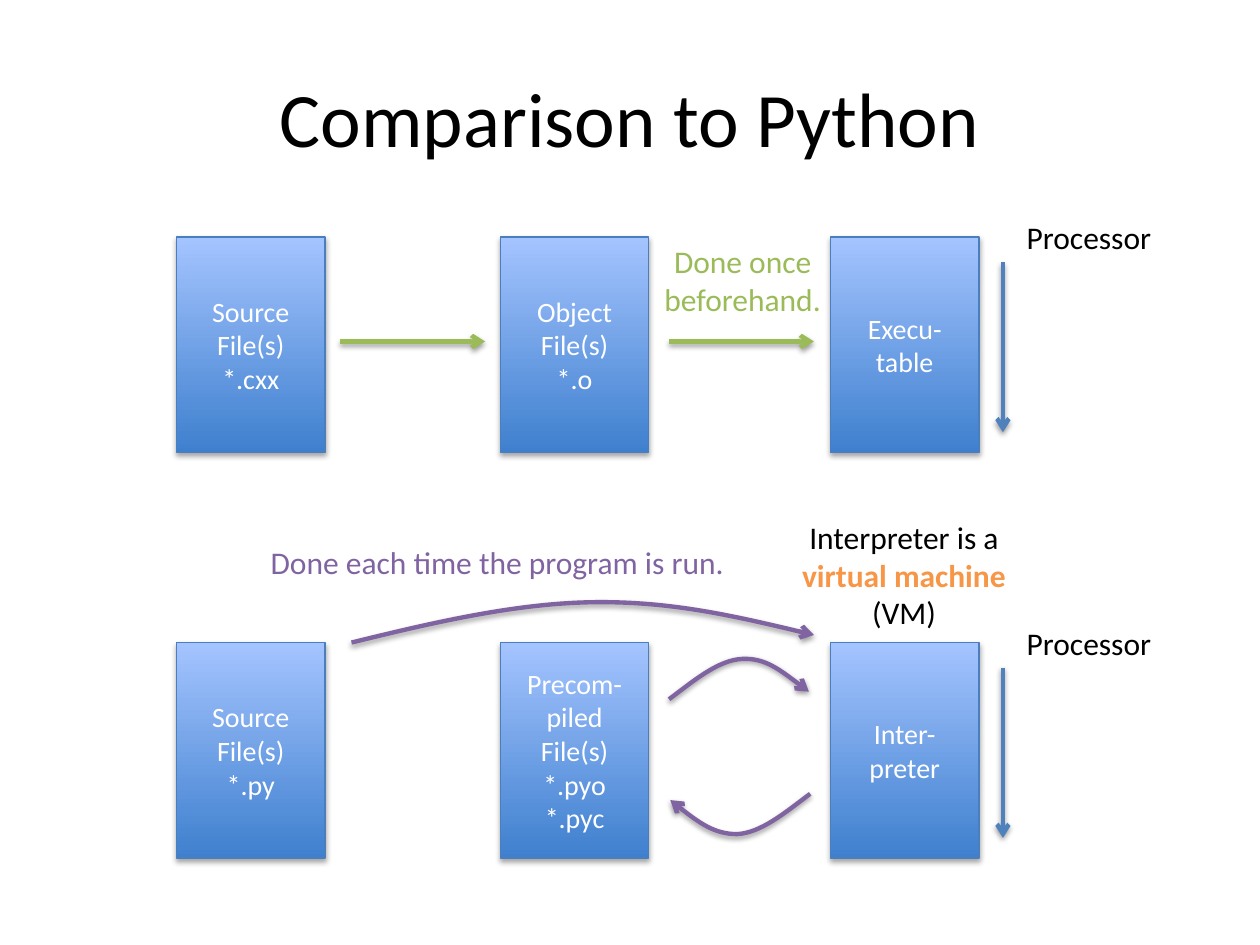
from lxml import etree
from pptx import Presentation
from pptx.dml.color import RGBColor
from pptx.enum.shapes import MSO_CONNECTOR, MSO_SHAPE
from pptx.enum.text import MSO_ANCHOR, MSO_AUTO_SIZE, PP_ALIGN
from pptx.oxml.ns import qn
from pptx.util import Inches, Pt

RECTANGLE = MSO_SHAPE.RECTANGLE
STRAIGHT = MSO_CONNECTOR.STRAIGHT
MIDDLE = MSO_ANCHOR.MIDDLE
GROW, FIXED = MSO_AUTO_SIZE.SHAPE_TO_FIT_TEXT, MSO_AUTO_SIZE.NONE
LEFT, CENTER = PP_ALIGN.LEFT, PP_ALIGN.CENTER

BLACK = RGBColor(0x00, 0x00, 0x00)
WHITE = RGBColor(0xFF, 0xFF, 0xFF)
BOX_BOTTOM = RGBColor(0x3F, 0x80, 0xCE)
BOX_TOP = RGBColor(0xA4, 0xC4, 0xFF)
BOX_EDGE = RGBColor(0x4B, 0x7E, 0xBC)
BLUE = RGBColor(0x4F, 0x81, 0xBD)
GREEN = RGBColor(0x9B, 0xBB, 0x59)
PURPLE = RGBColor(0x80, 0x64, 0xA2)
ORANGE = RGBColor(0xF7, 0x96, 0x46)
FONT = "Calibri"

# Grid in inches: three columns of boxes, one row per language
COLUMNS = (1.4, 3.97, 6.59)
COMPILED_ROW, PYTHON_ROW = 1.88, 5.1
BOX_W, BOX_H = 1.18, 1.71
PROCESSOR_X = 7.96


def add_shadow(shape, opacity, distance):
    """Soft shadow straight below; call after fill and line are set."""
    effects = etree.SubElement(shape._element.spPr, qn("a:effectLst"))
    shadow = etree.SubElement(effects, qn("a:outerShdw"), blurRad=str(Pt(3.1)),
                              dist=str(Pt(distance)), dir="5400000", rotWithShape="0")
    black = etree.SubElement(shadow, qn("a:srgbClr"), val="000000")
    etree.SubElement(black, qn("a:alpha"), val=str(opacity * 1000))


def style_paragraph(paragraph, size, color, align):
    paragraph.alignment = align
    paragraph.font.name = FONT
    paragraph.font.size = Pt(size)
    paragraph.font.color.rgb = color


def add_file_box(slide, column, top, lines):
    box = slide.shapes.add_shape(RECTANGLE, Inches(COLUMNS[column]), Inches(top),
                                 Inches(BOX_W), Inches(BOX_H))
    box.fill.gradient()
    box.fill.gradient_angle = 90
    for stop, color in zip(box.fill.gradient_stops, (BOX_BOTTOM, BOX_TOP)):
        stop.color.rgb = color
    box.line.color.rgb = BOX_EDGE
    box.line.width = Pt(0.75)
    add_shadow(box, 35, 1.8)
    frame = box.text_frame
    frame.word_wrap = True
    frame.vertical_anchor = MIDDLE
    frame.text = "\n".join(lines)
    for paragraph in frame.paragraphs:
        style_paragraph(paragraph, 16, WHITE, CENTER)


def add_label(slide, at, runs, color, size=18, align=CENTER, wrap=True):
    """Each run is (text, accent colour or None); accents are bold."""
    label = slide.shapes.add_textbox(*(Inches(length) for length in at))
    frame = label.text_frame
    frame.word_wrap = wrap
    frame.auto_size = GROW
    paragraph = frame.paragraphs[0]
    style_paragraph(paragraph, size, color, align)
    for text, accent in runs:
        run = paragraph.add_run()
        run.text = text
        if accent is not None:
            run.font.bold = True
            run.font.color.rgb = accent
    return label


def finish_arrow(arrow, color):
    arrow.line.color.rgb = color
    arrow.line.width = Pt(2.5)
    etree.SubElement(arrow.line._get_or_add_ln(), qn("a:tailEnd"), type="arrow")
    add_shadow(arrow, 38, 1.6)


def add_arrow(slide, start, end, color):
    arrow = slide.shapes.add_connector(STRAIGHT, *(Inches(v) for v in start + end))
    finish_arrow(arrow, color)


def add_curved_arrow(slide, points, color):
    """Start point, then three points (two controls, one end) per Bézier piece."""
    start, *rest = [(Inches(x), Inches(y)) for x, y in points]
    builder = slide.shapes.build_freeform(*start)
    builder.add_line_segments(rest, close=False)
    curve = builder.convert_to_shape()
    path = curve._element.spPr.find(".//" + qn("a:path"))
    segments = path.findall(qn("a:lnTo"))
    for first in range(0, len(segments), 3):
        piece = etree.SubElement(path, qn("a:cubicBezTo"))
        for segment in segments[first:first + 3]:
            piece.append(segment[0])
            path.remove(segment)
    curve.fill.background()
    finish_arrow(curve, color)


def add_processor(slide, row):
    add_label(slide, (8.05, row - 0.2, 1.2, 0.4), [("Processor", None)], BLACK,
              align=LEFT, wrap=False)
    add_arrow(slide, (PROCESSOR_X, row + 0.2), (PROCESSOR_X, row + 1.55), BLUE)


def main():
    prs = Presentation()
    prs.slide_width, prs.slide_height = Inches(10), Inches(7.5)
    slide = prs.slides.add_slide(prs.slide_layouts[6])

    # Title
    title = add_label(slide, (0.5, 0.3, 9, 1.25), [("Comparison to Python", None)],
                      BLACK, size=44)
    title.text_frame.auto_size = FIXED
    title.text_frame.vertical_anchor = MIDDLE

    # Boxes of both workflows, and the processor beside each
    workflows = {
        COMPILED_ROW: (("Source File(s)", "*.cxx"), ("Object File(s)", "*.o"),
                       ("Execu-table",)),
        PYTHON_ROW: (("Source File(s)", "*.py"),
                     ("Precom-piled File(s)", "*.pyo", "*.pyc"), ("Inter-preter",)),
    }
    for row, boxes in workflows.items():
        for column, lines in enumerate(boxes):
            add_file_box(slide, column, row, lines)
        add_processor(slide, row)

    # Compiled workflow: straight steps
    for start in (2.7, 5.31):
        add_arrow(slide, (start, 2.71), (start + 1.15, 2.71), GREEN)

    # Python workflow: curved steps
    curves = (
        [(6.43, 6.3), (6.23, 6.45), (6.04, 6.61), (5.85, 6.62),
         (5.67, 6.62), (5.49, 6.49), (5.32, 6.35)],
        [(5.31, 5.55), (5.51, 5.4), (5.7, 5.24), (5.89, 5.23),
         (6.07, 5.22), (6.25, 5.36), (6.42, 5.49)],
        [(2.79, 5.1), (3.44, 4.94), (4.09, 4.79), (4.7, 4.78),
         (5.31, 4.77), (5.88, 4.9), (6.46, 5.04)],
    )
    for points in curves:
        add_curved_arrow(slide, points, PURPLE)

    # Remarks
    add_label(slide, (6.16, 4.06, 2.03, 1.01),
              [("Interpreter is a ", None), ("virtual machine", ORANGE), (" (VM)", None)],
              BLACK)
    add_label(slide, (5.13, 1.87, 1.53, 0.71), [("Done once beforehand.", None)], GREEN)
    add_label(slide, (2.05, 4.26, 3.84, 0.4),
              [("Done each time the program is run.", None)], PURPLE,
              align=LEFT, wrap=False)

    prs.save("out.pptx")


if __name__ == "__main__":
    main()
